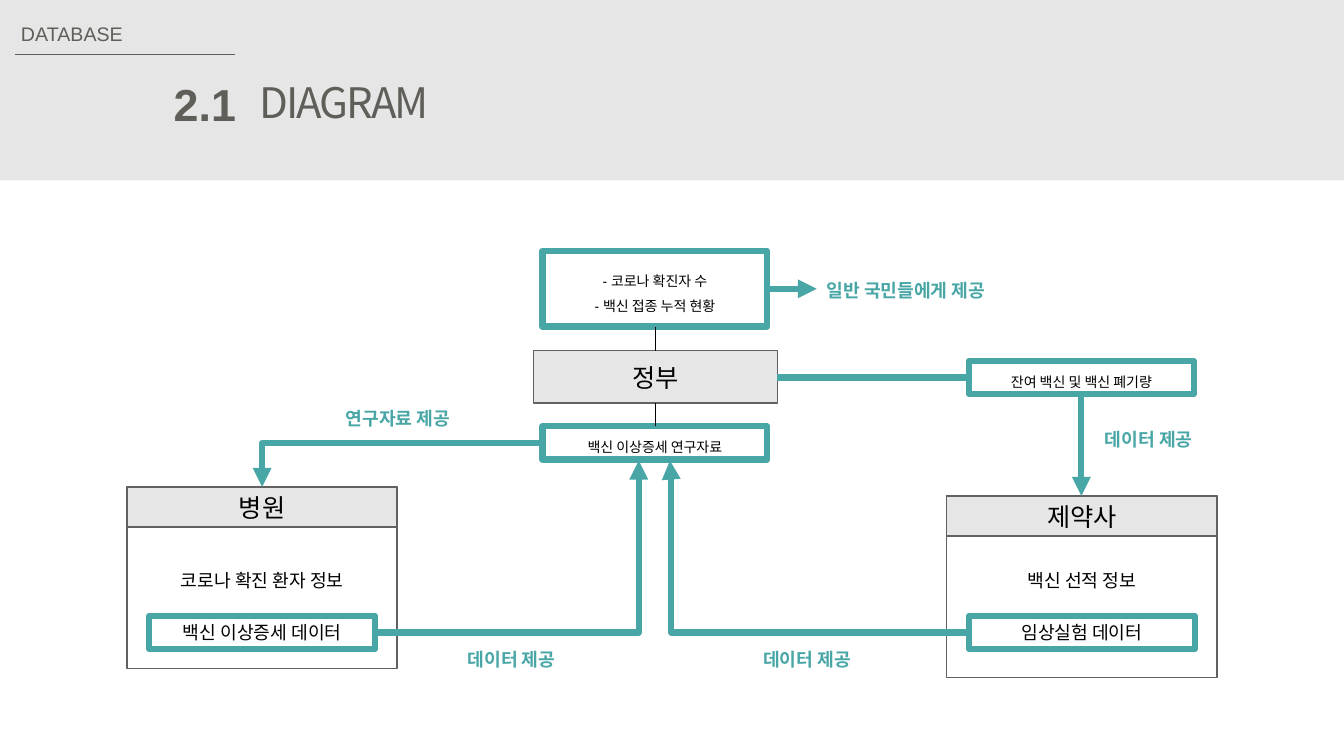
from dataclasses import dataclass

from lxml.etree import SubElement
from pptx import Presentation
from pptx.dml.color import RGBColor as Rgb
from pptx.enum.shapes import MSO_CONNECTOR as Route, MSO_SHAPE as Preset
from pptx.enum.text import MSO_ANCHOR as Anchor, MSO_AUTO_SIZE as Fit, PP_ALIGN as Align
from pptx.oxml.ns import qn
from pptx.util import Inches, Pt


@dataclass(frozen=True)
class Theme:
    ink: str = "5F5E58"
    edge: str = "626060"
    panel: str = "E7E6E6"
    paper: str = "FFFFFF"
    black: str = "000000"
    accent: str = "49A6A6"
    latin: str = "Arial"
    korean: str = "Noto Sans CJK KR"
    number: int = 32
    title: int = 30
    heading: int = 18
    section: int = 14
    body: int = 13
    detail: int = 10
    hairline: float = 0.5
    border: float = 1
    flow: float = 4.5


@dataclass(frozen=True)
class Box:
    left: float
    top: float
    width: float
    height: float

    @property
    def right(self):
        return self.left + self.width

    @property
    def bottom(self):
        return self.top + self.height

    @property
    def center(self):
        return self.left + self.width / 2

    @property
    def middle(self):
        return self.top + self.height / 2

    def inner(self, left, top, width, height):
        return Box(self.left + left, self.top + top, width, height)

    def lengths(self):
        return [Inches(n) for n in (self.left, self.top, self.width, self.height)]


THEME = Theme()
TOP, LEFT, BOTTOM, RIGHT = range(4)


def apply(target, **values):
    for name, value in values.items():
        setattr(target, name, value)


def write(frame, lines, size, color, face=THEME.latin, bold=False, align=Align.CENTER, spacing=None):
    for index, line in enumerate(lines):
        paragraph = frame.add_paragraph() if index else frame.paragraphs[0]
        apply(paragraph, alignment=align, line_spacing=spacing)
        run = paragraph.add_run()
        run.text = line
        run.font.color.rgb = Rgb.from_string(color)
        apply(run.font, size=Pt(size), name=face, bold=bold)
        SubElement(run.font._element, qn("a:ea"), typeface=THEME.korean)
    return run


def label(slide, box, text, size, color, **style):
    frame = slide.shapes.add_textbox(*box.lengths()).text_frame
    apply(frame, word_wrap=False, auto_size=Fit.SHAPE_TO_FIT_TEXT)
    return write(frame, [text], size, color, **style)


def block(slide, box, fill, edge=None, weight=THEME.border, lines=(), size=THEME.heading, spacing=None):
    shape = slide.shapes.add_shape(Preset.RECTANGLE, *box.lengths())
    shape.shadow.inherit = False
    shape.fill.solid()
    shape.fill.fore_color.rgb = Rgb.from_string(fill)
    if edge:
        shape.line.color.rgb = Rgb.from_string(edge)
        shape.line.width = Pt(weight)
    else:
        shape.line.fill.background()
    shape.text_frame.vertical_anchor = Anchor.MIDDLE
    if lines:
        write(shape.text_frame, lines, size, THEME.black, spacing=spacing)
    return shape


def data_block(slide, box, lines, size=THEME.detail, spacing=1.5):
    return block(slide, box, THEME.paper, THEME.accent, THEME.flow, lines, size, spacing)


def connect(slide, start, end, color=THEME.accent, weight=THEME.flow, arrow=False, route=Route.STRAIGHT):
    link = slide.shapes.add_connector(route, *[Inches(n) for n in (*start, *end)])
    link.line.color.rgb = Rgb.from_string(color)
    link.line.width = Pt(weight)
    outline = link._element.spPr
    if arrow:
        SubElement(outline.find(qn("a:ln")), qn("a:tailEnd"), type="triangle")
    SubElement(outline, qn("a:effectLst"))
    return link


def bend(link, preset, share=None):
    geometry = link._element.spPr.find(qn("a:prstGeom"))
    geometry.set("prst", preset)
    if share:
        guides = geometry.find(qn("a:avLst"))
        SubElement(guides, qn("a:gd"), name="adj1", fmla=f"val {share}")


def flow_label(slide, box, text):
    label(slide, box, text, THEME.body, THEME.accent, bold=True, align=Align.LEFT)


def header(slide, box):
    block(slide, box, THEME.panel)
    rule = box.top + 0.54
    connect(slide, (box.left + 0.15, rule), (box.left + 2.33, rule), THEME.ink, THEME.hairline)
    label(slide, box.inner(0.11, 0.17, 1.22, 0.34), "DATABASE", THEME.section, THEME.ink, align=Align.LEFT)
    label(slide, box.inner(1.62, 0.71, 0.82, 0.64), "2.1", THEME.number, THEME.ink, bold=True, align=Align.RIGHT)
    title = label(slide, box.inner(2.48, 0.71, 1.96, 0.61), "DIAGRAM", THEME.title, THEME.ink,
                  face=THEME.korean, align=Align.LEFT)
    title.font._element.set("spc", "-150")


def organization(slide, box, name, info, data, data_top):
    block(slide, box, THEME.paper, THEME.edge)
    heading = block(slide, box.inner(0, 0, box.width, 0.4), THEME.panel, THEME.edge, lines=[name])
    data_box = Box(box.left + 0.22, data_top, 2.24, 0.33)
    label(slide, data_box.inner(0, -0.51, 2.24, 0.32), info, THEME.body, THEME.black)
    return heading, data_block(slide, data_box, [data], THEME.body, None), data_box


def government(slide, box):
    office = box.inner(0, 0.99, 2.42, 0.52)
    public = box.inner(0.09, 0, 2.23, 0.75)
    research = box.inner(0.09, 1.74, 2.23, 0.33)
    block(slide, office, THEME.panel, THEME.edge, lines=["정부"])
    data_block(slide, public, ["- 코로나 확진자 수", "- 백신 접종 누적 현황"])
    study = data_block(slide, research, ["백신 이상증세 연구자료"])
    for upper, lower in ((public, office), (office, research)):
        connect(slide, (office.center, upper.bottom), (office.center, lower.top), THEME.black, THEME.hairline)
    connect(slide, (public.right, public.middle), (public.right + 0.49, public.middle), arrow=True)
    flow_label(slide, Box(public.right + 0.49, public.top + 0.23, 1.91, 0.32), "일반 국민들에게 제공")
    return office, research, study


def stock_flow(slide, box, office, target_top):
    data_block(slide, box, ["잔여 백신 및 백신 폐기량"])
    connect(slide, (office.right, box.middle), (box.left, box.middle))
    connect(slide, (box.center, box.bottom), (box.center, target_top), arrow=True)
    flow_label(slide, box.inner(1.25, 0.62, 1.15, 0.32), "데이터 제공")


def research_flows(slide, research, study, hospital, maker):
    heading, symptom_data, symptom_box = hospital
    _, trial_data, trial_box = maker
    sources = (
        (symptom_data, RIGHT, symptom_box.right, symptom_box.middle, -0.16, 100000, 4.54),
        (trial_data, LEFT, trial_box.left, trial_box.middle, 0.15, 99600, 7.47),
    )
    for source, side, left, middle, shift, share, label_left in sources:
        supply = connect(slide, (left, middle), (research.center + shift, research.bottom + 0.01),
                         arrow=True, route=Route.ELBOW)
        supply.begin_connect(source, side)
        bend(supply, "bentConnector3", share)
        flow_label(slide, Box(label_left, middle + 0.11, 1.15, 0.32), "데이터 제공")
    delivery = connect(slide, (research.left, research.middle), (symptom_box.center, 4.83),
                       arrow=True, route=Route.ELBOW)
    delivery.begin_connect(study, LEFT)
    delivery.end_connect(heading, TOP)
    bend(delivery, "bentConnector2")
    flow_label(slide, research.inner(-2.05, -0.24, 1.33, 0.32), "연구자료 제공")


def main():
    deck = Presentation()
    apply(deck, slide_width=Inches(13.33), slide_height=Inches(7.5))
    slide = deck.slides.add_slide(deck.slide_layouts[6])
    header(slide, Box(0, 0, 13.33, 1.79))
    hospital_box, maker_box = Box(1.26, 4.83, 2.68, 1.8), Box(9.39, 4.92, 2.68, 1.8)
    hospital = organization(slide, hospital_box, "병원", "코로나 확진 환자 정보", "백신 이상증세 데이터", 6.11)
    maker = organization(slide, maker_box, "제약사", "백신 선적 정보", "임상실험 데이터", 6.11)
    office, research, study = government(slide, Box(5.29, 2.49, 2.42, 2.07))
    stock_flow(slide, Box(9.61, 3.58, 2.23, 0.33), office, maker_box.top)
    research_flows(slide, research, study, hospital, maker)
    deck.save("out.pptx")


if __name__ == "__main__":
    main()
